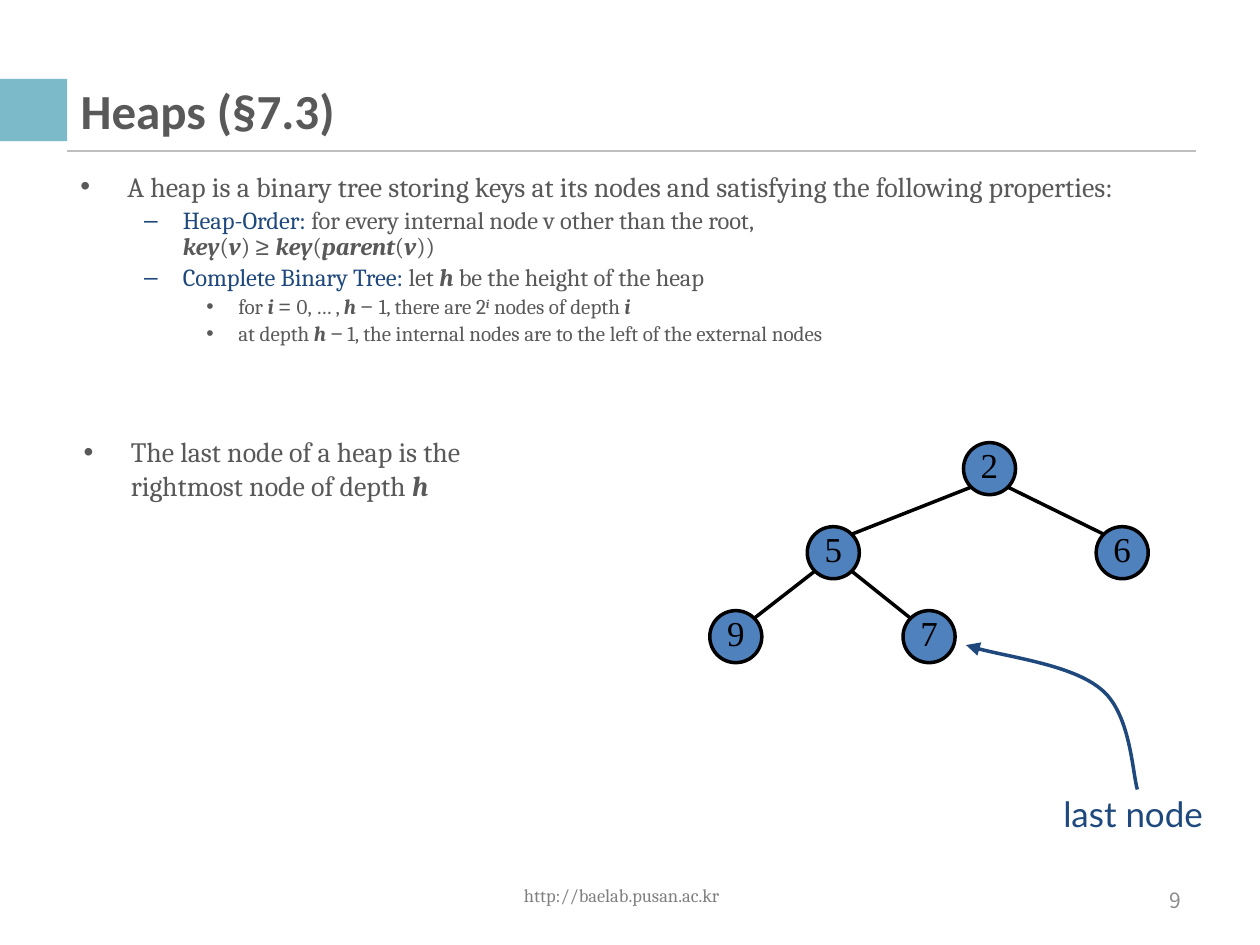
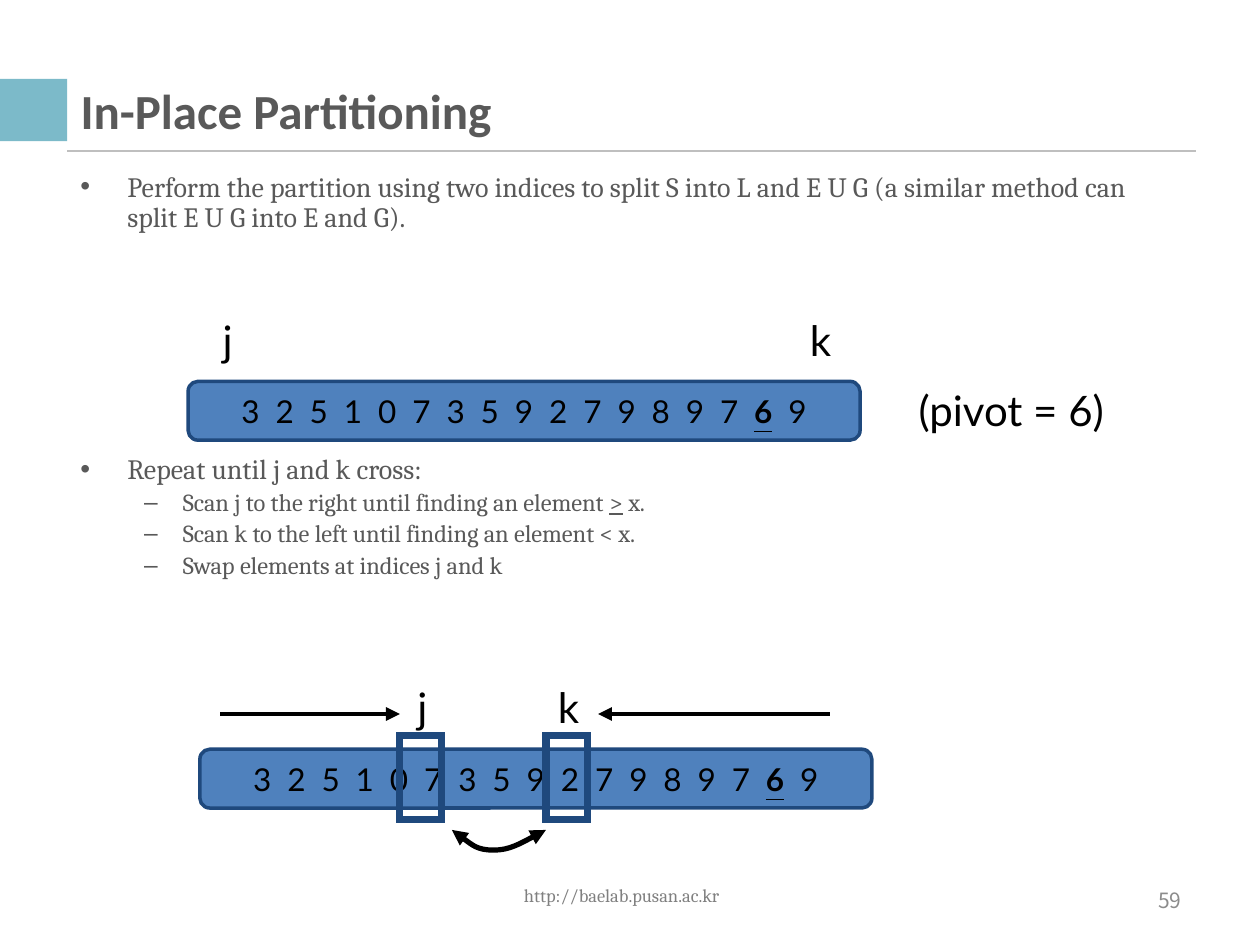
from lxml import etree
from pptx import Presentation
from pptx import util as u
from pptx.dml.color import RGBColor
from pptx.enum import shapes, text
from pptx.oxml.ns import qn

Inches = u.Inches
COLORS = {"ink": "595959", "navy": "1F497D", "blue": "4F81BD", "teal": "7CBAC9",
          "rule": "BFBFBF", "url": "808080", "page": "8C8C8C", "black": "000000"}
RGB = {name: RGBColor.from_string(value) for name, value in COLORS.items()}
ALIGN = text.PP_ALIGN

# Text looks: font, size, colour, alignment, wrap
LOOKS = {
    "title": ("Calibri", 21, "ink", ALIGN.LEFT, True),
    "url": ("Cambria", 7.9, "url", ALIGN.CENTER, True),
    "page": ("Noto Sans CJK KR", 9, "page", ALIGN.RIGHT, True),
    "node": ("Times New Roman", 15, "black", ALIGN.CENTER, False),
    "caption": ("Lato", 15, "navy", ALIGN.CENTER, False),
    "index": ("Lato", 18, "black", ALIGN.CENTER, False),
    "digits": ("Lato", 13.5, "black", ALIGN.LEFT, True),
}
# Run styles inside a paragraph
STYLES = {"": {}, "var": {"bold": True, "italic": True}, "math": {"name": "Arial"},
          "term": {}, "under": {"underline": True}, "power": {"bold": True, "italic": True},
          "pivot": {"bold": True, "underline": True}}
# Bullet levels: symbol, left margin, hanging indent, size
LEVELS = [("•", 0.28, 0.28, 12), ("–", 0.61, 0.23, 10.5), ("•", 0.94, 0.19, 9)]


def write(shape, runs, look):
    """Fill the first paragraph of a shape with styled runs."""
    face, size, color, align, wrap = LOOKS[look]
    frame = shape.text_frame
    frame.word_wrap = wrap
    frame.vertical_anchor = text.MSO_ANCHOR.MIDDLE
    paragraph = frame.paragraphs[0]
    paragraph.alignment = align
    for words, style in runs:
        run = paragraph.add_run()
        run.text = words
        format_values = {"name": face, "size": u.Pt(size), **STYLES[style]}
        for attribute, value in format_values.items():
            setattr(run.font, attribute, value)
        run.font.color.rgb = RGB[color]


def stroke(shape, color, width, ends=()):
    """Give a shape or connector a plain line, without shadow."""
    shape.line.color.rgb = RGB[color]
    shape.line.width = u.Pt(width)
    properties = shape.element.spPr
    for end in ends:
        etree.SubElement(properties.find(qn("a:ln")), qn(f"a:{end}End"), type="triangle")
    etree.SubElement(properties, qn("a:effectLst"))


deck = Presentation()
deck.slide_width, deck.slide_height = Inches(7.5), Inches(7.5 * 3 / 4)
layout = deck.slide_layouts[5]
for placeholder in list(layout.placeholders):
    if placeholder.placeholder_format.type != shapes.PP_PLACEHOLDER.TITLE:
        placeholder.element.getparent().remove(placeholder.element)

# Titles and page numbers
slides = []
for heading, number in [("Heaps (§7.3)", "9"), ("In-Place Partitioning", "59")]:
    slide = deck.slides.add_slide(layout)
    slides.append(slide)
    title = slide.shapes.title
    title.left, title.top, title.width, title.height = map(Inches, (0.38, 0.48, 6.75, 0.35))
    write(title, [(heading, "")], "title")
    title.text_frame.paragraphs[0].runs[0].font.bold = True
    page = slide.shapes.add_textbox(*map(Inches, (5.38, 5.21, 1.75, 0.3)))
    write(page, [(number, "")], "page")
heaps, partitioning = slides

# Shared band, rule and address, moved to the layout
band = heaps.shapes.add_shape(shapes.MSO_SHAPE.RECTANGLE, *map(Inches, (0, 0.47, 0.4, 0.37)))
band.fill.solid()
band.fill.fore_color.rgb = RGB["teal"]
band.line.fill.background()
band.shadow.inherit = False
rule = heaps.shapes.add_connector(shapes.MSO_CONNECTOR.STRAIGHT,
                                  *map(Inches, (0.4, 0.9, 7.12, 0.9)))
stroke(rule, "rule", 1)
address = heaps.shapes.add_textbox(*map(Inches, (2.51, 5.18, 2.38, 0.3)))
write(address, [("http://baelab.pusan.ac.kr", "")], "url")
for shared in (band, rule, address):
    layout.shapes.element.append(shared.element)

# Bulleted text: slide, box, line spacing, lines of (level, runs)
BLOCKS = [
    (heaps, (0.38, 0.98, 6.75, 1.4), 0.9, [
        (0, [("A heap is a binary tree storing keys at its nodes and satisfying "
              "the following properties:", "")]),
        (1, [("Heap-Order:", "term"), (" for every internal node v other than the root,", ""),
             ("\n", ""), ("key", "var"), ("(", ""), ("v", "var"), (") ", ""), ("≥ ", "math"),
             ("key", "var"), ("(", ""), ("parent", "var"), ("(", ""), ("v", "var"), ("))", "")]),
        (1, [("Complete Binary Tree:", "term"), (" let ", ""), ("h", "var"),
             (" be the height of the heap", "")]),
        (2, [("for ", ""), ("i ", "var"), ("= ", "math"), ("0, … , ", ""), ("h ", "var"),
             ("− ", "math"), ("1, there are 2", ""), ("i", "power"),
             (" nodes of depth ", ""), ("i", "var")]),
        (2, [("at depth ", ""), ("h ", "var"), ("−", "math"),
             (" 1, the internal nodes are to the left of the external nodes", "")]),
    ]),
    (heaps, (0.4, 2.54, 3.12, 1.19), 1.0, [
        (0, [("The last node of a heap is the rightmost node of depth ", ""), ("h", "var")]),
    ]),
    (partitioning, (0.38, 0.98, 6.75, 0.6), 0.9, [
        (0, [("Perform the partition using two indices to split S into L and E U G "
              "(a similar method can split E U G into E and G).", "")]),
    ]),
    (partitioning, (0.38, 2.66, 6.75, 1), 0.9, [
        (0, [("Repeat until j and k cross:", "")]),
        (1, [("Scan j to the right until finding an element ", ""), (">", "under"), (" x.", "")]),
        (1, [("Scan k to the left until finding an element < x.", "")]),
        (1, [("Swap elements at indices j and k", "")]),
    ]),
]
for slide, box, spacing, lines in BLOCKS:
    frame = slide.shapes.add_textbox(*map(Inches, box)).text_frame
    frame.word_wrap = True
    for position, (level, runs) in enumerate(lines):
        symbol, margin, hanging, size = LEVELS[level]
        paragraph = frame.add_paragraph() if position else frame.paragraphs[0]
        paragraph.level = level
        properties = paragraph._p.get_or_add_pPr()
        properties.set("marL", str(Inches(margin)))
        properties.set("indent", str(-Inches(hanging)))
        etree.SubElement(properties, qn("a:buFont"), typeface="Arial")
        etree.SubElement(properties, qn("a:buChar"), char=symbol)
        paragraph.line_spacing = spacing
        paragraph.space_before = u.Pt(size * 0.2 if position else 0)
        paragraph.font.size = u.Pt(size)
        for words, style in runs:
            if words == "\n":
                paragraph.add_line_break()
                continue
            run = paragraph.add_run()
            run.text = words
            for attribute, value in {"name": "Cambria", "size": u.Pt(size),
                                     **STYLES[style]}.items():
                setattr(run.font, attribute, value)
            run.font.color.rgb = RGB["navy" if style == "term" else "ink"]
            if style == "power":
                run._r.get_or_add_rPr().set("baseline", "30000")

# Heap tree: key -> centre and parent
RADIUS = 0.155
DIAGONAL = 0.11
TREE = {"2": (5.89, 2.79, None), "5": (4.96, 3.29, "2"), "6": (6.68, 3.29, "2"),
        "9": (4.38, 3.79, "5"), "7": (5.53, 3.79, "5")}
for key, (x, y, parent) in TREE.items():
    if parent:
        parent_x, parent_y, _ = TREE[parent]
        side = DIAGONAL if x > parent_x else -DIAGONAL
        edge = heaps.shapes.add_connector(
            shapes.MSO_CONNECTOR.STRAIGHT,
            *map(Inches, (parent_x + side, parent_y + DIAGONAL, x - side, y - DIAGONAL)))
        stroke(edge, "black", 1.5)
    node = heaps.shapes.add_shape(
        shapes.MSO_SHAPE.OVAL,
        *map(Inches, (x - RADIUS, y - RADIUS, 2 * RADIUS, 2 * RADIUS)))
    node.fill.solid()
    node.fill.fore_color.rgb = RGB["blue"]
    stroke(node, "black", 1.5)
    write(node, [(key, "")], "node")
    for side, inset in {"left": 0, "top": 0, "right": 0, "bottom": 0.05}.items():
        setattr(node.text_frame, f"margin_{side}", Inches(inset))

# Captions: slide, words, look, box
CAPTIONS = [
    (heaps, "last node", "caption", (6.22, 4.67, 1.05, 0.35)),
    (partitioning, "j", "index", (1.22, 1.82, 0.27, 0.4)),
    (partitioning, "k", "index", (4.72, 1.82, 0.33, 0.4)),
    (partitioning, "(pivot = 6)", "index", (5.31, 2.24, 1.42, 0.4)),
    (partitioning, "j", "index", (2.38, 4.01, 0.27, 0.4)),
    (partitioning, "k", "index", (3.22, 4.01, 0.33, 0.4)),
]
for slide, words, look, box in CAPTIONS:
    write(slide.shapes.add_textbox(*map(Inches, box)), [(words, "")], look)

# Sequences, one digit per tab stop
SEQUENCE = "32510735927989769"
PIVOT_AT = 15
DIGIT_PITCH = 3.46 / 17
for left, top in [(1.12, 2.27), (1.19, 4.46)]:
    row = partitioning.shapes.add_shape(shapes.MSO_SHAPE.ROUNDED_RECTANGLE,
                                        *map(Inches, (left, top, 4, 0.35)))
    row.fill.solid()
    row.fill.fore_color.rgb = RGB["blue"]
    stroke(row, "navy", 1.5)
    row.text_frame.margin_left = Inches(0.3)
    row.text_frame.margin_right = 0
    stops = etree.SubElement(row.text_frame.paragraphs[0]._p.get_or_add_pPr(), qn("a:tabLst"))
    for stop in range(1, len(SEQUENCE)):
        etree.SubElement(stops, qn("a:tab"), pos=str(Inches(stop * DIGIT_PITCH)), algn="l")
    write(row, [("\t".join(SEQUENCE[:PIVOT_AT]) + "\t", ""), (SEQUENCE[PIVOT_AT], "pivot"),
                ("\t" + SEQUENCE[-1], "")], "digits")

# Scan arrows and the two elements to swap
for start, end in [(1.31, 2.38), (4.94, 3.56)]:
    scan = partitioning.shapes.add_connector(shapes.MSO_CONNECTOR.STRAIGHT,
                                             *map(Inches, (start, 4.25, end, 4.25)))
    stroke(scan, "black", 1.5, ["tail"])
for left in (2.38, 3.25):
    marker = partitioning.shapes.add_shape(shapes.MSO_SHAPE.RECTANGLE,
                                           *map(Inches, (left, 4.38, 0.25, 0.5)))
    marker.fill.background()
    stroke(marker, "navy", 3)
    etree.SubElement(marker.element.spPr.find(qn("a:ln")), qn("a:miter"), lim="800000")

# Curved arrows: every three points after the start make one Bezier segment
CURVES = [
    (heaps, "navy", 1.5, ["tail"],
     [(6.77, 4.7), (6.74, 4.6), (6.73, 4.24), (6.55, 4.1), (6.38, 3.96), (5.92, 3.9),
      (5.75, 3.84)]),
    (partitioning, "black", 2.25, ["head", "tail"],
     [(2.69, 4.94), (2.77, 5), (2.84, 5.06), (2.94, 5.06), (3.03, 5.06), (3.14, 5),
      (3.25, 4.94)]),
]
for slide, color, width, ends, points in CURVES:
    start, *controls = [(Inches(x), Inches(y)) for x, y in points]
    builder = slide.shapes.build_freeform(*start)
    builder.add_line_segments(controls, close=False)
    curve = builder.convert_to_shape()
    curve.fill.background()
    stroke(curve, color, width, ends)
    outline = next(curve.element.iter(qn("a:path")))
    segments = outline.findall(qn("a:lnTo"))
    for first in range(0, len(segments), 3):
        bezier = etree.SubElement(outline, qn("a:cubicBezTo"))
        for segment in segments[first:first + 3]:
            bezier.append(segment[0])
            outline.remove(segment)

deck.save("out.pptx")
